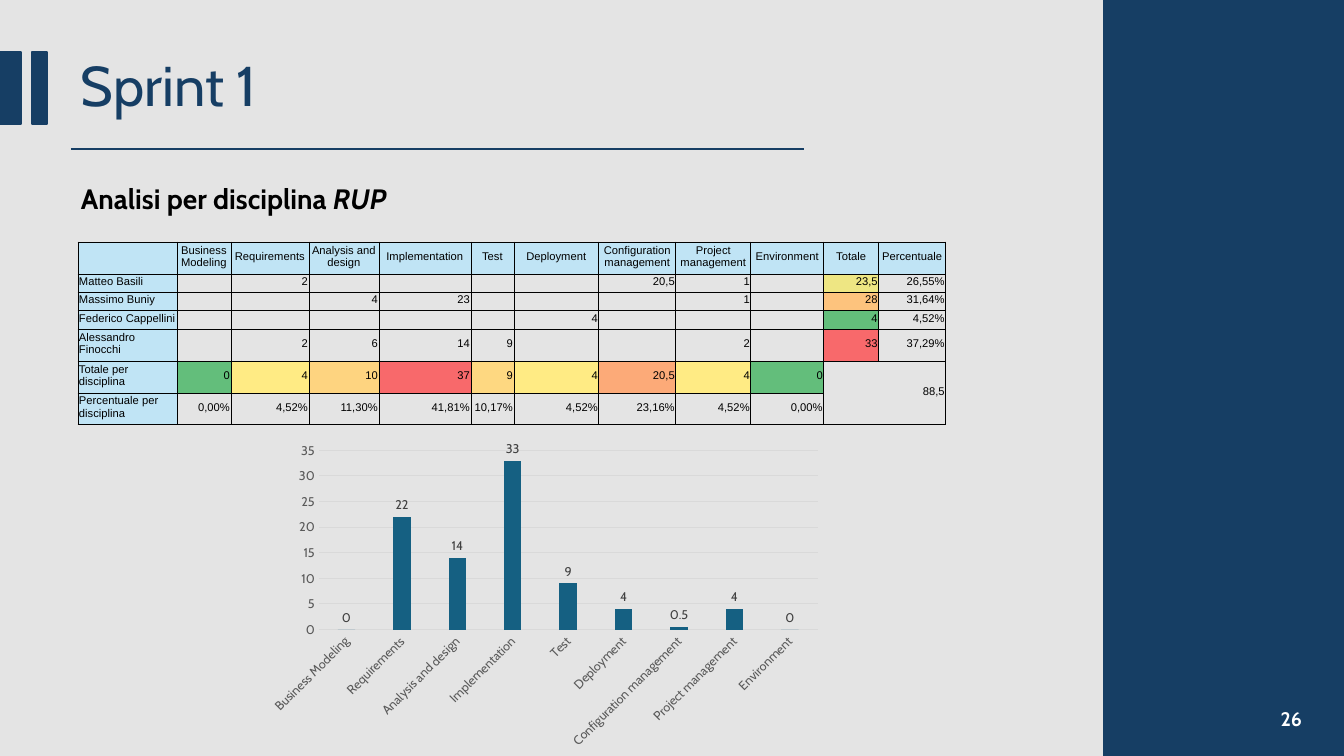
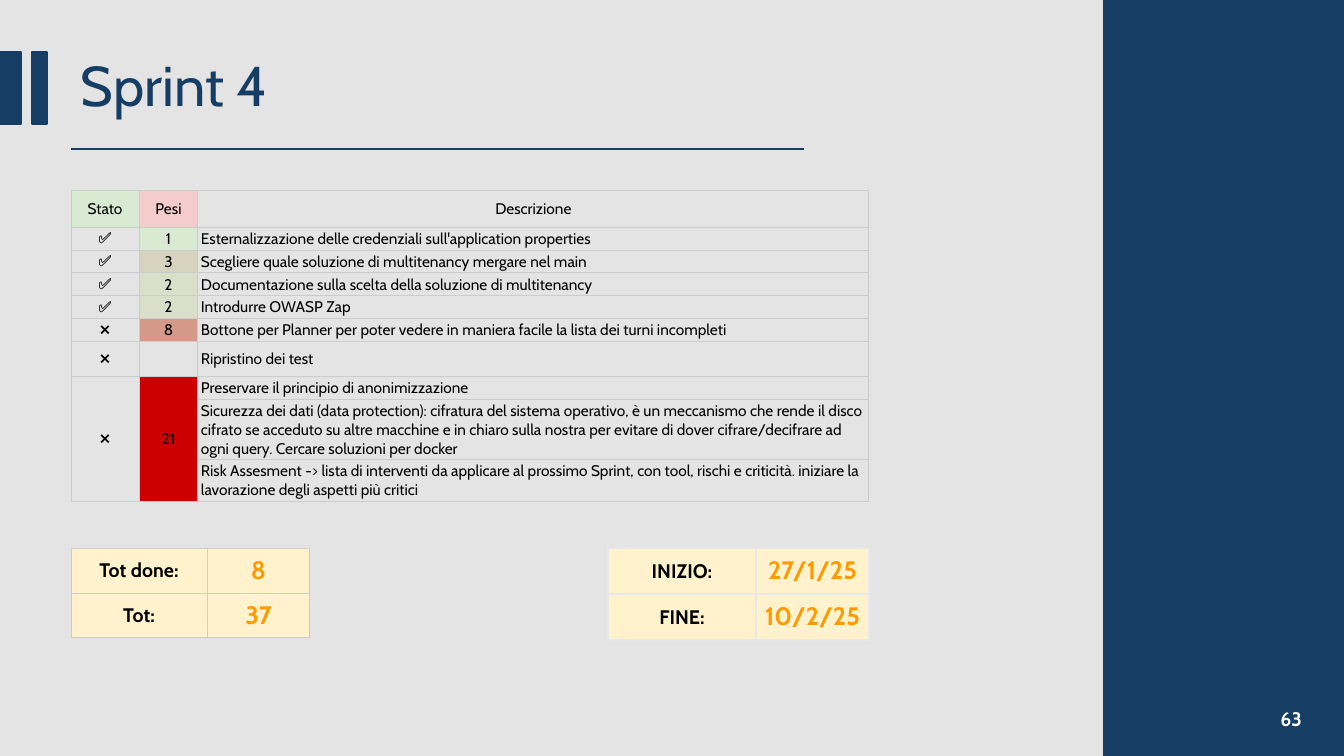
from dataclasses import dataclass

from lxml.etree import SubElement
from pptx import Presentation
from pptx.chart.data import CategoryChartData
from pptx.dml.color import RGBColor
from pptx.enum.chart import XL_CHART_TYPE, XL_LABEL_POSITION, XL_TICK_MARK
from pptx.enum.shapes import MSO_CONNECTOR, MSO_SHAPE
from pptx.enum.text import MSO_ANCHOR, PP_ALIGN
from pptx.oxml import parse_xml
from pptx.oxml.ns import nsdecls, qn
from pptx.util import Emu, Pt

DISCIPLINES = [
    "Business Modeling", "Requirements", "Analysis and design",
    "Implementation", "Test", "Deployment", "Configuration management",
    "Project management", "Environment",
]
HOURS = [0, 22, 14, 33, 9, 4, 0.5, 4, 0]
EFFORT = [
    ["", *DISCIPLINES, "Totale", "Percentuale"],
    ["Matteo Basili", "", "2", "", "", "", "", "20,5", "1", "", "23,5", "26,55%"],
    ["Massimo Buniy", "", "", "4", "23", "", "", "", "1", "", "28", "31,64%"],
    ["Federico Cappellini", "", "", "", "", "", "4", "", "", "", "4", "4,52%"],
    ["Alessandro Finocchi", "", "2", "6", "14", "9", "", "", "2", "", "33", "37,29%"],
    ["Totale per disciplina", "0", "4", "10", "37", "9", "4", "20,5", "4", "0",
     "88,5", ""],
    ["Percentuale per disciplina", "0,00%", "4,52%", "11,30%", "41,81%", "10,17%",
     "4,52%", "23,16%", "4,52%", "0,00%", "", ""],
]
EFFORT_WIDTHS = [99, 54, 78, 70, 92, 43, 85, 77, 75, 73, 55, 67]
EFFORT_HEIGHTS = [31, 18, 18, 18, 31, 32, 31]
PERSON_HEAT = ["EEE683", "FDC37D", "63BE7B", "F8696B"]
DISCIPLINE_HEAT = ["63BE7B", "FFEB84", "FED480", "F8696B", "FED881",
                   "FFEB84", "FCAA78", "FFEB84", "63BE7B"]

BACKLOG = [
    ("Stato", "Pesi", "Descrizione"),
    ("✅", "1", "Esternalizzazione delle credenziali sull'application properties"),
    ("✅", "3", "Scegliere quale soluzione di multitenancy mergare nel main"),
    ("✅", "2", "Documentazione sulla scelta della soluzione di multitenancy"),
    ("✅", "2", "Introdurre OWASP Zap"),
    ("❌", "8", "Bottone per Planner per poter vedere in maniera facile la lista "
     "dei turni incompleti"),
    ("❌", "", "Ripristino dei test"),
    ("❌", "21", "Preservare il principio di anonimizzazione"),
    ("", "", "Sicurezza dei dati (data protection): cifratura del sistema operativo, "
     "è un meccanismo che rende il disco cifrato se acceduto su altre macchine e in "
     "chiaro sulla nostra per evitare di dover cifrare/decifrare ad ogni query. "
     "Cercare soluzioni per docker"),
    ("", "", "Risk Assesment -> lista di interventi da applicare al prossimo Sprint, "
     "con tool, rischi e criticità. iniziare la lavorazione degli aspetti più critici"),
]
BACKLOG_WIDTHS = [68, 59, 671]
BACKLOG_HEIGHTS = [37, 23, 23, 23, 23, 23, 35, 23, 60, 42]
WEIGHT_FILLS = {"Pesi": "F4CCCC", "1": "D9EAD3", "2": "D9DFC9", "3": "D8D3BE",
                "8": "D5998A", "21": "CC0000"}
TOTALS = [("Tot done:", "8"), ("Tot:", "37")]
DATES = [("INIZIO:", "27/1/25"), ("FINE:", "10/2/25")]


@dataclass(frozen=True)
class Theme:
    font: str = "Cabin"
    plain_font: str = "Arial"
    background: str = "E4E4E4"
    navy: str = "163E64"
    white: str = "FFFFFF"
    ink: str = "000000"
    bar: str = "156082"
    axis_ink: str = "595959"
    label_ink: str = "404040"
    rule: str = "D9D9D9"
    sky: str = "C0E4F5"
    mint: str = "D9EAD3"
    cream: str = "FFF2CC"
    orange: str = "FF9900"
    grey_border: str = "CCCCCC"
    pale_border: str = "E8E8E8"
    title_size: int = 40
    subtitle_size: int = 20
    value_size: int = 18
    label_size: int = 14
    backlog_size: int = 11
    chart_size: int = 9
    effort_size: int = 8
    stroke: float = 1.5


@dataclass(frozen=True)
class Look:
    size: int
    align: PP_ALIGN = PP_ALIGN.CENTER
    fill: str = ""
    font: str = "Cabin"
    color: str = "000000"
    bold: bool = False


THEME = Theme()
EFFORT_INSETS = (1, 1, 1, 4)
SPRINT_INSETS = (3, 2, 3, 2)


def px(length):
    return Emu(round(length * 914400 / 100.8))


def rgb(code):
    return RGBColor.from_string(code)


def set_font(font, size, color, name=THEME.font, bold=False):
    font.size, font.name, font.bold = Pt(size), name, bold
    font.color.rgb = rgb(color)


def add_text(slide, box, runs, size, color, bold=False,
             align=PP_ALIGN.LEFT, anchor=MSO_ANCHOR.MIDDLE):
    frame = slide.shapes.add_textbox(*map(px, box)).text_frame
    frame.word_wrap = True
    frame.vertical_anchor = anchor
    paragraph = frame.paragraphs[0]
    paragraph.alignment = align
    for text, italic in runs:
        run = paragraph.add_run()
        run.text = text
        if italic:
            run.font.italic = True
    set_font(paragraph.font, size, color, bold=bold)
    return paragraph


def add_block(slide, box):
    block = slide.shapes.add_shape(MSO_SHAPE.RECTANGLE, *map(px, box))
    block.shadow.inherit = False
    block.fill.solid()
    block.fill.fore_color.rgb = rgb(THEME.navy)
    block.line.color.rgb = rgb(THEME.navy)
    block.line.width = Pt(THEME.stroke)


def add_sprint_slide(deck, title, number):
    slide = deck.slides.add_slide(deck.slide_layouts[6])
    slide.background.fill.solid()
    slide.background.fill.fore_color.rgb = rgb(THEME.background)
    heading = add_text(slide, (71, 52, 849, 72), [(title, False)],
                       THEME.title_size, THEME.navy)
    heading.line_spacing = 0.9
    for box in [(0, 52, 21, 72), (32, 52, 15, 72), (1104, 0, 240, 756)]:
        add_block(slide, box)
    underline = slide.shapes.add_connector(
        MSO_CONNECTOR.STRAIGHT, px(71), px(149), px(804), px(149))
    underline.line.color.rgb = rgb(THEME.navy)
    underline.line.width = Pt(THEME.stroke)
    SubElement(underline._element.spPr, qn("a:effectLst"))
    add_text(slide, (1010, 699, 302, 40), [(str(number), False)],
             THEME.label_size, THEME.white, bold=True, align=PP_ALIGN.RIGHT)
    return slide


def add_borders(cell, color, width):
    properties = cell._tc.get_or_add_tcPr()
    for index, side in enumerate("LRTB"):
        properties.insert(index, parse_xml(
            f'<a:ln{side} {nsdecls("a")} w="{Pt(width)}"><a:solidFill>'
            f'<a:srgbClr val="{color}"/></a:solidFill></a:ln{side}>'))


def fill_cell(cell, text, look, insets):
    (cell.margin_left, cell.margin_top,
     cell.margin_right, cell.margin_bottom) = map(px, insets)
    cell.vertical_anchor = MSO_ANCHOR.MIDDLE
    cell.text = text
    paragraph = cell.text_frame.paragraphs[0]
    paragraph.alignment = look.align
    set_font(paragraph.font, look.size, look.color, look.font, look.bold)
    if not text:
        SubElement(paragraph._p, qn("a:endParaRPr"), sz=str(look.size * 100))
    if look.fill:
        cell.fill.solid()
        cell.fill.fore_color.rgb = rgb(look.fill)
    else:
        cell.fill.background()


def add_grid(slide, corner, widths, heights, rows, look_of, border, insets):
    size = (sum(widths), sum(heights))
    table = slide.shapes.add_table(
        len(rows), len(widths), *map(px, corner + size)).table
    table.first_row = table.horz_banding = False
    for column, width in zip(table.columns, widths):
        column.width = px(width)
    for r, (height, row) in enumerate(zip(heights, rows)):
        table.rows[r].height = px(height)
        for c, text in enumerate(row):
            cell = table.cell(r, c)
            fill_cell(cell, text, look_of(r, c, text), insets)
            add_borders(cell, *border)
    return table


def effort_look(r, c, text):
    fill = ""
    if r == 0 or c == 0:
        fill = THEME.sky
    elif c == 10 and r <= len(PERSON_HEAT):
        fill = PERSON_HEAT[r - 1]
    elif r == 5 and c <= len(DISCIPLINE_HEAT):
        fill = DISCIPLINE_HEAT[c - 1]
    align = PP_ALIGN.RIGHT
    if r == 0:
        align = PP_ALIGN.CENTER
    elif c == 0:
        align = PP_ALIGN.LEFT
    return Look(THEME.effort_size, align, fill, THEME.plain_font)


def backlog_look(r, c, text):
    fill = WEIGHT_FILLS.get(text, "") if c == 1 else ""
    if (r, c) == (0, 0):
        fill = THEME.mint
    align = PP_ALIGN.LEFT if r and c == 2 else PP_ALIGN.CENTER
    font = THEME.plain_font if r and c == 0 else THEME.font
    return Look(THEME.backlog_size, align, fill, font)


def summary_look(r, c, text):
    size, color = [(THEME.label_size, THEME.ink),
                   (THEME.value_size, THEME.orange)][c]
    return Look(size, fill=THEME.cream, color=color, bold=True)


def add_hours_chart(slide, box):
    data = CategoryChartData()
    data.categories = DISCIPLINES
    data.add_series("Series 1", HOURS)
    chart = slide.shapes.add_chart(
        XL_CHART_TYPE.COLUMN_CLUSTERED, *map(px, box), data).chart
    chart.has_title = chart.has_legend = False
    set_font(chart.font, 10, THEME.ink)

    plot = chart.plots[0]
    plot.gap_width, plot.overlap, plot.vary_by_categories = 219, -27, False
    columns = plot.series[0].format.fill
    columns.solid()
    columns.fore_color.rgb = rgb(THEME.bar)
    plot.has_data_labels = True
    plot.data_labels.show_value = True
    plot.data_labels.position = XL_LABEL_POSITION.OUTSIDE_END
    set_font(plot.data_labels.font, THEME.chart_size, THEME.label_ink)

    disciplines, hours = chart.category_axis, chart.value_axis
    for axis in (disciplines, hours):
        axis.major_tick_mark = axis.minor_tick_mark = XL_TICK_MARK.NONE
        set_font(axis.tick_labels.font, THEME.chart_size, THEME.axis_ink)
    disciplines._element.txPr.find(qn("a:bodyPr")).set("rot", "-2700000")
    hours.minimum_scale, hours.maximum_scale, hours.major_unit = 0, 35, 5
    hours.has_major_gridlines = True
    hours.format.line.fill.background()
    for line in (disciplines.format.line, hours.major_gridlines.format.line):
        line.color.rgb = rgb(THEME.rule)
        line.width = Pt(0.75)


def main():
    deck = Presentation()
    deck.slide_width, deck.slide_height = px(1344), px(756)

    analysis = add_sprint_slide(deck, "Sprint 1", 26)
    add_hours_chart(analysis, (260, 436, 569, 319))
    add_text(analysis, (71, 177, 734, 44),
             [("Analisi per disciplina ", False), ("RUP", True)],
             THEME.subtitle_size, THEME.ink, bold=True, anchor=MSO_ANCHOR.TOP)
    effort = add_grid(analysis, (78, 242), EFFORT_WIDTHS, EFFORT_HEIGHTS, EFFORT,
                      effort_look, (THEME.ink, 0.5), EFFORT_INSETS)
    effort.cell(5, 10).merge(effort.cell(6, 11))

    review = add_sprint_slide(deck, "Sprint 4", 63)
    grey = (THEME.grey_border, 0.75)
    backlog = add_grid(review, (71, 190), BACKLOG_WIDTHS, BACKLOG_HEIGHTS, BACKLOG,
                       backlog_look, grey, SPRINT_INSETS)
    for c in (0, 1):
        backlog.cell(7, c).merge(backlog.cell(9, c))
    for left, widths, height, rows, border in [
        (71, [136, 103], 45, TOTALS, grey),
        (608, [148, 113], 46, DATES, (THEME.pale_border, 1)),
    ]:
        add_grid(review, (left, 548), widths, [height] * 2, rows,
                 summary_look, border, SPRINT_INSETS)

    deck.save("out.pptx")


if __name__ == "__main__":
    main()
